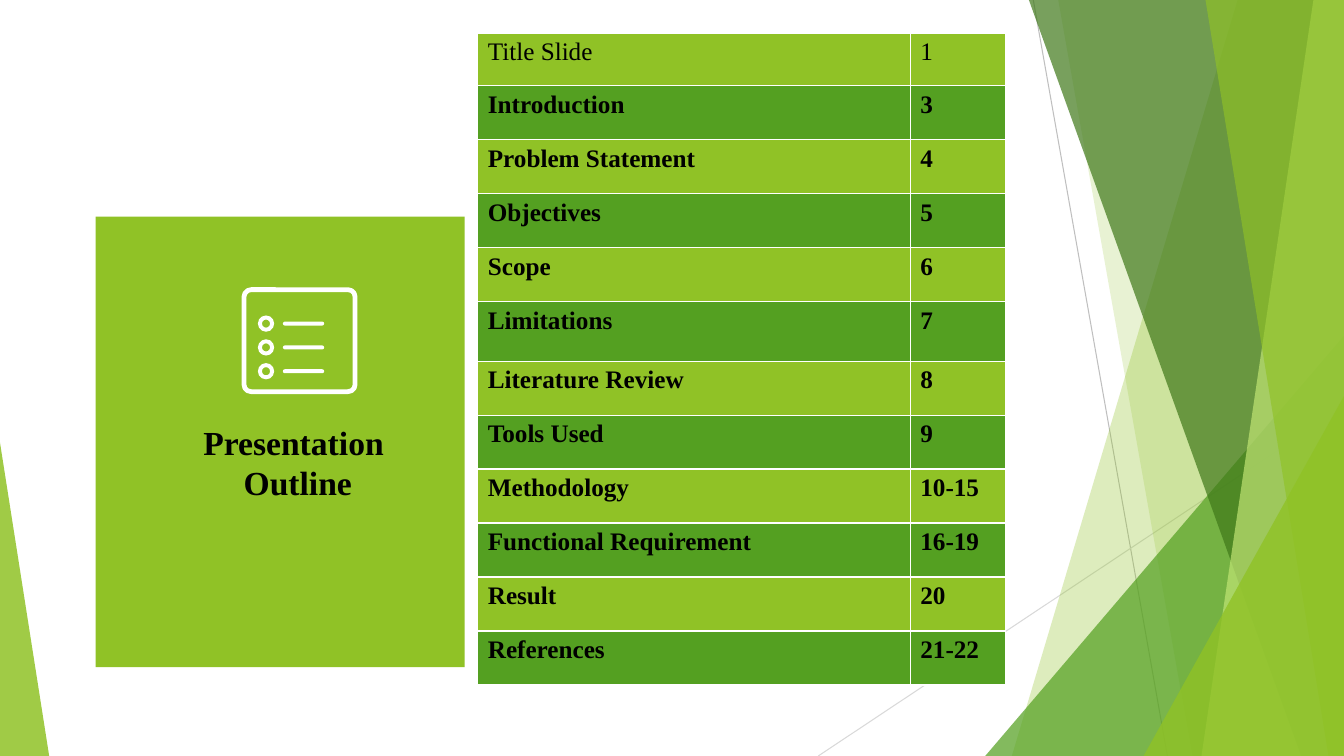
from lxml.etree import SubElement
from pptx import Presentation
from pptx.dml.color import RGBColor
from pptx.enum.shapes import MSO_CONNECTOR, MSO_SHAPE
from pptx.enum.text import MSO_ANCHOR, PP_ALIGN
from pptx.oxml import parse_xml
from pptx.oxml.ns import nsdecls, qn
from pptx.util import Cm, Pt

COLORS = {
    "lime": "90C226", "green": "54A021", "forest": "3F7819", "pale": "C0E474",
    "white": "FFFFFF", "black": "000000", "grey": "BFBFBF", "light_grey": "D9D9D9",
}
FONT = "Times New Roman"
PAGE_WIDTH, PAGE_HEIGHT = 33.87, 19.05

RAYS = [
    ((26.04, 0), (29.42, 19.05), "grey"),
    ((33.87, 10.24), (20.62, 19.05), "light_grey"),
]
# Bands reach the right page edge: top x, bottom x, colour, opacity in percent
BACK_BANDS = [(31.19, 25.5, "lime", 30), (26.67, 30.05, "lime", 20)]
FRONT_BANDS = [(25.93, 32.79, "forest", 70), (33.1, 30.28, "pale", 70), (30.38, 33.48, "lime", 65)]

OUTLINE = [
    ("Title Slide", "1"), ("Introduction", "3"), ("Problem Statement", "4"),
    ("Objectives", "5"), ("Scope", "6"), ("Limitations", "7"),
    ("Literature Review", "8"), ("Tools Used", "9"), ("Methodology", "10-15"),
    ("Functional Requirement", "16-19"), ("Result", "20"), ("References", "21-22"),
]
COLUMN_WIDTHS = (10.9, 2.39)
ROW_HEIGHT = 1.36
SPECIAL_HEIGHTS = {"Title Slide": 1.32, "Limitations": 1.5}


def rgb(name):
    return RGBColor.from_string(COLORS[name])


def paint(shape, color, opacity=100):
    shape.shadow.inherit = False
    shape.line.fill.background()
    shape.fill.solid()
    shape.fill.fore_color.rgb = rgb(color)
    if opacity < 100:
        tint = shape.fill._xPr.find(qn("a:solidFill"))[0]
        SubElement(tint, qn("a:alpha")).set("val", str(opacity * 1000))


def add_filled(page, kind, box, color, opacity=100, adjustment=None):
    shape = page.shapes.add_shape(kind, *map(Cm, box))
    if adjustment is not None:
        shape.adjustments[0] = adjustment
    paint(shape, color, opacity)
    return shape


def style_text(para, size, bold):
    for span in para.runs:
        span.font.name = FONT
        span.font.size = Pt(size)
        span.font.bold = bold
        span.font.color.rgb = rgb("black")


def add_ray(page, start, end, color):
    ray = page.shapes.add_connector(MSO_CONNECTOR.STRAIGHT, *map(Cm, start + end))
    ray.line.color.rgb = rgb(color)
    ray.line.width = Pt(0.75)
    SubElement(ray._element.spPr, qn("a:effectLst"))


def add_band(page, box, top_x, bottom_x, color, opacity):
    left, top, width, height = box
    right, bottom = left + width, top + height
    builder = page.shapes.build_freeform(Cm(top_x), Cm(top))
    corners = [(right, top), (right, bottom), (bottom_x, bottom)]
    builder.add_line_segments([(Cm(x), Cm(y)) for x, y in corners], close=True)
    paint(builder.convert_to_shape(), color, opacity)


def add_wedge(page, box, width, height, color, opacity, on_right=True):
    """Put a right-angled triangle in a bottom corner of the box."""
    left = box[0] + box[2] - width if on_right else box[0]
    place = (left, box[1] + box[3] - height, width, height)
    add_filled(page, MSO_SHAPE.ISOSCELES_TRIANGLE, place, color, opacity, int(on_right))


def draw_backdrop(page, box):
    for ray in RAYS:
        add_ray(page, *ray)
    for band in BACK_BANDS:
        add_band(page, box, *band)
    add_wedge(page, box, 9.04, 10.59, "green", 72)
    for band in FRONT_BANDS:
        add_band(page, box, *band)
    add_wedge(page, box, 5.05, 9.07, "lime", 80)
    add_wedge(page, box, 1.24, 7.9, "lime", 85, on_right=False)


def fill_cell(cell, text, color, bold):
    cell.text_frame.text = text
    style_text(cell.text_frame.paragraphs[0], 18, bold)
    cell.fill.solid()
    cell.fill.fore_color.rgb = rgb(color)
    properties = cell._tc.get_or_add_tcPr()
    for index, side in enumerate(("lnL", "lnR", "lnT", "lnB")):
        border = parse_xml(
            f'<a:{side} {nsdecls("a")} w="12700"><a:solidFill>'
            f'<a:srgbClr val="{COLORS["white"]}"/></a:solidFill></a:{side}>'
        )
        properties.insert(index, border)


def draw_outline_table(page, box):
    frame = page.shapes.add_table(len(OUTLINE), len(COLUMN_WIDTHS), *map(Cm, box))
    table = frame.table
    table.first_row = table.horz_banding = False
    for column, width in zip(table.columns, COLUMN_WIDTHS):
        column.width = Cm(width)
    for index, entry in enumerate(OUTLINE):
        table.rows[index].height = Cm(SPECIAL_HEIGHTS.get(entry[0], ROW_HEIGHT))
        color = ("lime", "green")[index % 2]
        for cell, text in zip(table.rows[index].cells, entry):
            fill_cell(cell, text, color, bold=index > 0)


def draw_list_icon(page, box):
    left, top, width, height = box
    stroke = 0.12
    border = add_filled(
        page, MSO_SHAPE.ROUNDED_RECTANGLE,
        (left + stroke / 2, top + stroke / 2, width - stroke, height - stroke),
        "white", adjustment=0.07,
    )
    border.fill.background()
    border.line.color.rgb = rgb("white")
    border.line.width = Cm(stroke)
    for row in range(3):
        ring_top = top + 0.71 + 0.6 * row
        add_filled(page, MSO_SHAPE.DONUT, (left + 0.41, ring_top, 0.41, 0.41),
                   "white", adjustment=0.25)
        add_filled(page, MSO_SHAPE.ROUNDED_RECTANGLE, (left + 1.04, ring_top + 0.155, 1.04, 0.1),
                   "white", adjustment=0.5)


def draw_title_panel(page, box):
    left, top, width, _ = box
    add_filled(page, MSO_SHAPE.RECTANGLE, box, "lime")
    draw_list_icon(page, (left + 3.68, top + 1.78, 2.92, 2.69))
    title = page.shapes.add_textbox(Cm(left), Cm(top + 5.16), Cm(width + 0.68), Cm(2.06))
    frame = title.text_frame
    frame.word_wrap = True
    frame.vertical_anchor = MSO_ANCHOR.MIDDLE
    frame.margin_left = frame.margin_right = frame.margin_top = frame.margin_bottom = 0
    frame.text = "Presentation\n Outline"
    for para in frame.paragraphs:
        para.alignment = PP_ALIGN.CENTER
        style_text(para, 24, True)


def main():
    deck = Presentation()
    deck.slide_width, deck.slide_height = Cm(PAGE_WIDTH), Cm(PAGE_HEIGHT)
    page = deck.slides.add_slide(deck.slide_layouts[6])
    draw_backdrop(page, (0, 0, PAGE_WIDTH, PAGE_HEIGHT))
    draw_outline_table(page, (12.04, 0.84, 13.29, 16.42))
    draw_title_panel(page, (2.41, 5.46, 9.3, 11.35))
    deck.save("out.pptx")


if __name__ == "__main__":
    main()
